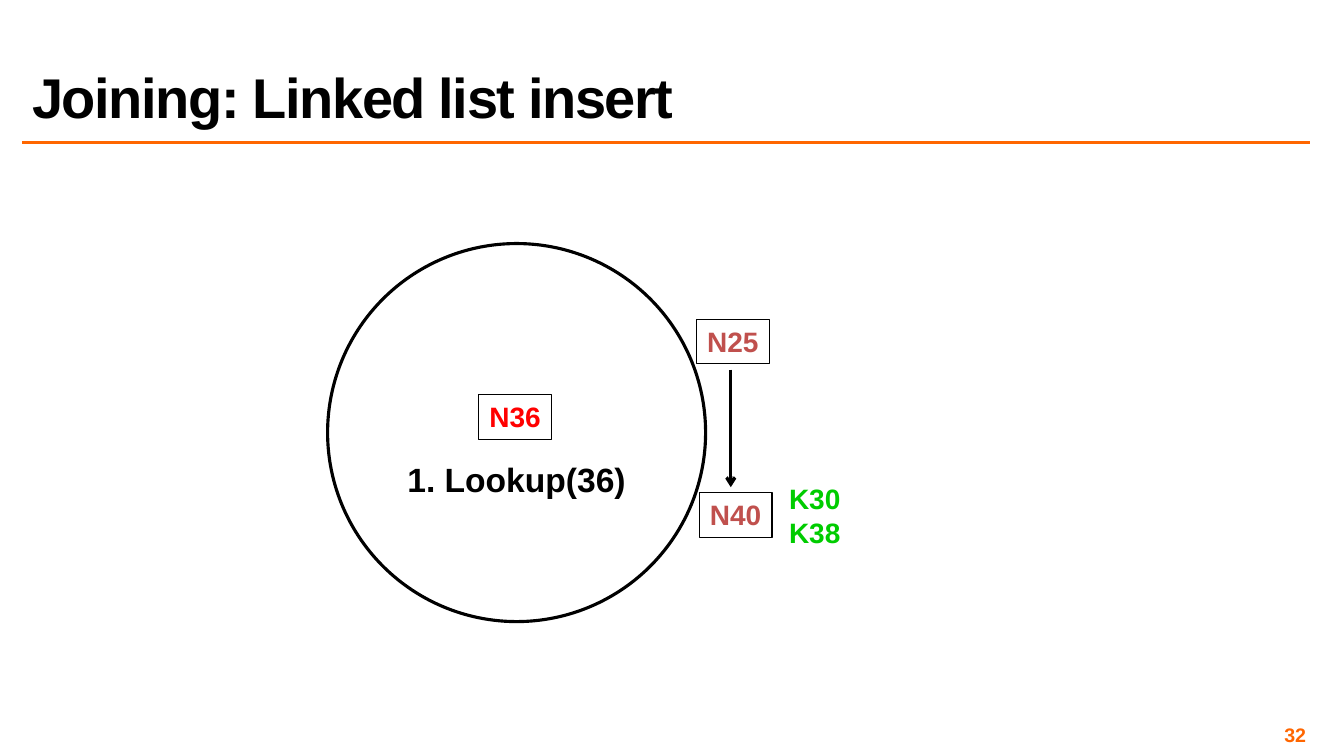
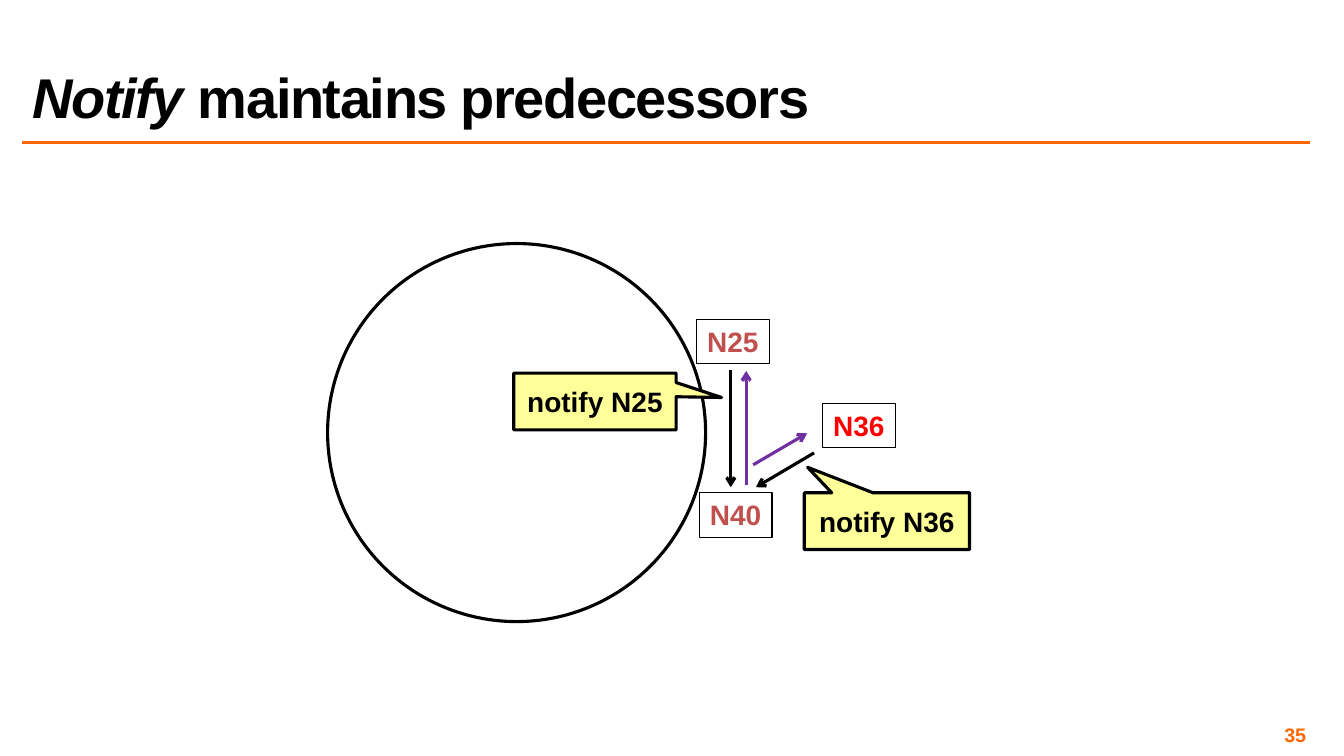
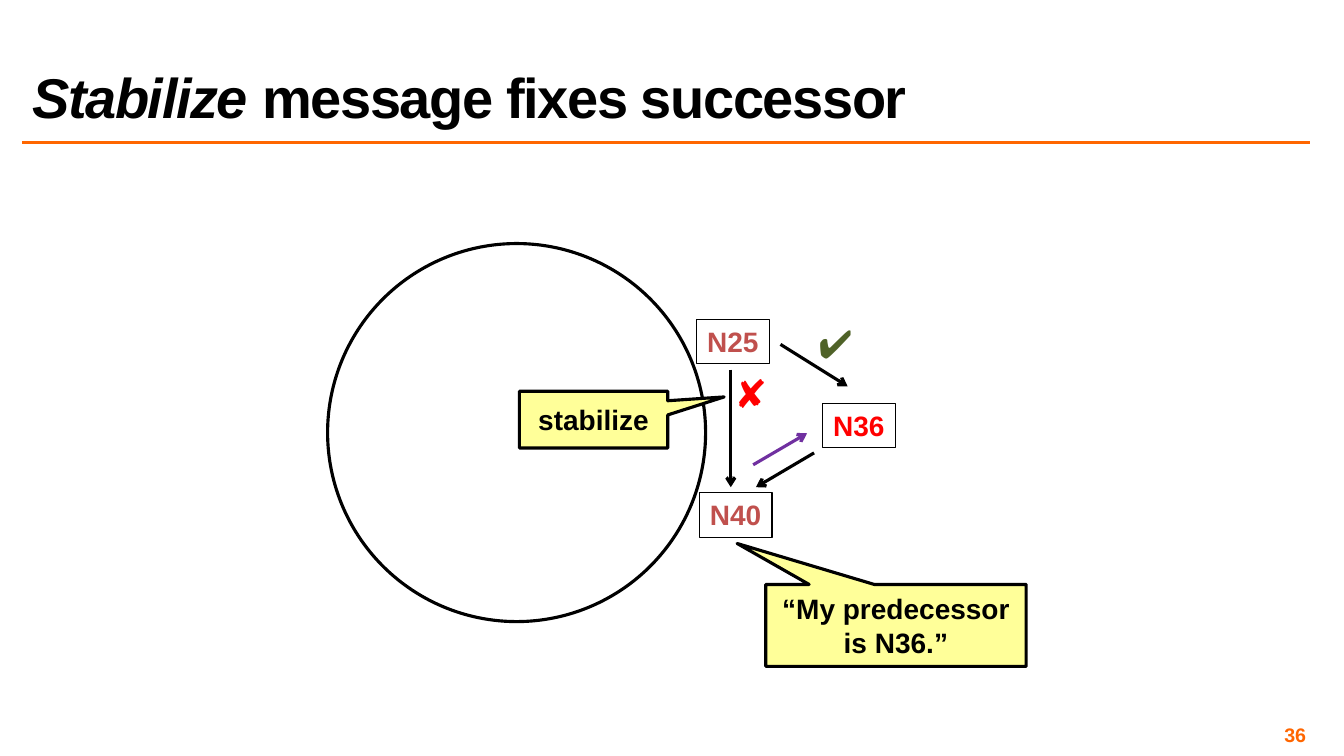
from dataclasses import dataclass

from lxml.etree import SubElement
from pptx import Presentation
from pptx.dml.color import RGBColor
from pptx.enum.shapes import MSO_CONNECTOR, MSO_SHAPE
from pptx.enum.text import MSO_ANCHOR, MSO_AUTO_SIZE, PP_ALIGN
from pptx.oxml.ns import qn
from pptx.shapes.autoshape import Shape
from pptx.shapes.connector import Connector
from pptx.slide import Slide
from pptx.text.text import TextFrame, _Run
from pptx.util import Pt

FONT = "Arial"
BLACK, RED, ORANGE = "000000", "FF0000", "FF6600"
BRICK, GREEN, OLIVE = "C0504D", "00CC00", "4F6228"
PURPLE, YELLOW = "7030A0", "FFFF99"
NODE_WIDTH, NODE_HEIGHT = 52, 32
HEAVY_LINE, THIN_LINE = 2.25, 0.75
BODY_SIZE = 20

Box = tuple[float, float, float, float]


@dataclass(frozen=True)
class Node:
    name: str
    left: float
    top: float
    color: str = BRICK


@dataclass(frozen=True)
class Arrow:
    start: tuple[float, float]
    end: tuple[float, float]
    color: str = BLACK


@dataclass(frozen=True)
class Callout:
    text: str
    box: Box
    tip: tuple[float, float]


@dataclass(frozen=True)
class Label:
    text: str
    box: Box
    size: float = BODY_SIZE
    color: str = BLACK


@dataclass(frozen=True)
class RingSlide:
    """One ring diagram; the title is an italic part and a plain part."""
    number: int
    italic_title: str
    plain_title: str
    nodes: tuple[Node, ...]
    arrows: tuple[Arrow, ...]
    callouts: tuple[Callout, ...] = ()
    labels: tuple[Label, ...] = ()


N25 = Node("N25", 497.5, 228)
N40 = Node("N40", 499.5, 352)
N36_JOINING = Node("N36", 342, 282, RED)
N36_LINKED = Node("N36", 587.5, 288, RED)

N25_TO_N40 = Arrow((522, 264), (522, 348))
N36_TO_N40 = Arrow((581.5, 323.5), (540, 348))
N25_TO_N36 = Arrow((557.5, 246), (605.5, 276))
N40_BACK_TO_N25 = Arrow((533, 346.5), (533, 265), PURPLE)
N40_BACK_TO_N36 = Arrow((538, 332), (576.5, 309.5), PURPLE)

RING_SLIDES = (
    RingSlide(
        32, "", "Joining: Linked list insert",
        nodes=(N36_JOINING, N40, N25),
        arrows=(N25_TO_N40,),
        labels=(
            Label("1. Lookup(36)", (283, 324, 172, 36), size=24),
            Label("K30\nK38", (556, 340.5, 52, 55.5), color=GREEN),
        ),
    ),
    RingSlide(
        35, "Notify", " maintains predecessors",
        nodes=(N36_LINKED, N40, N25),
        arrows=(N25_TO_N40, N36_TO_N40, N40_BACK_TO_N25, N40_BACK_TO_N36),
        callouts=(
            Callout("notify N36", (574.5, 352, 118, 40.5), (-0.48, -0.95)),
            Callout("notify N25", (367, 266.5, 116, 40.5), (0.78, -0.07)),
        ),
    ),
    RingSlide(
        36, "Stabilize ", "message fixes successor",
        nodes=(N36_LINKED, N40, N25),
        arrows=(N25_TO_N40, N36_TO_N40, N40_BACK_TO_N36, N25_TO_N36),
        callouts=(
            Callout("stabilize", (371, 279.5, 106, 40.5), (0.88, -0.4)),
            Callout("“My predecessor is N36.”", (547, 417.5, 186, 58.5), (-0.61, -1)),
        ),
        labels=(
            Label("✔", (575.5, 224.5, 42.5, 41), size=28, color=OLIVE),
            Label("✘", (517.5, 260.5, 37.5, 41), size=28, color=RED),
        ),
    ),
)


def rgb(color: str) -> RGBColor:
    return RGBColor.from_string(color)


def format_run(run: _Run, size: float, color: str) -> None:
    run.font.name = FONT
    run.font.size = Pt(size)
    run.font.bold = True
    run.font.color.rgb = rgb(color)


def set_text(text_frame: TextFrame, text: str, size: float, color: str,
             align: PP_ALIGN = PP_ALIGN.CENTER) -> None:
    text_frame.text = text
    for paragraph in text_frame.paragraphs:
        paragraph.alignment = align
        for run in paragraph.runs:
            format_run(run, size, color)


def fit_to_text(text_frame: TextFrame) -> None:
    text_frame.word_wrap = False
    text_frame.auto_size = MSO_AUTO_SIZE.SHAPE_TO_FIT_TEXT
    text_frame.vertical_anchor = MSO_ANCHOR.TOP


def add_text_box(slide: Slide, box: Box) -> TextFrame:
    return slide.shapes.add_textbox(*map(Pt, box)).text_frame


def add_outlined_shape(slide: Slide, kind: MSO_SHAPE, box: Box,
                       line_width: float, fill: str | None = None) -> Shape:
    shape = slide.shapes.add_shape(kind, *map(Pt, box))
    shape.shadow.inherit = False
    shape.line.color.rgb = rgb(BLACK)
    shape.line.width = Pt(line_width)
    if fill is None:
        shape.fill.background()
    else:
        shape.fill.solid()
        shape.fill.fore_color.rgb = rgb(fill)
    return shape


def add_line(slide: Slide, start: tuple[float, float], end: tuple[float, float],
             color: str, width: float) -> Connector:
    connector = slide.shapes.add_connector(
        MSO_CONNECTOR.STRAIGHT, *map(Pt, (*start, *end)))
    connector.line.color.rgb = rgb(color)
    connector.line.width = Pt(width)
    SubElement(connector._element.spPr, qn("a:effectLst"))
    return connector


def add_arrow(slide: Slide, arrow: Arrow) -> None:
    connector = add_line(slide, arrow.start, arrow.end, arrow.color, HEAVY_LINE)
    SubElement(connector.line._get_or_add_ln(), qn("a:tailEnd"), type="arrow")


def add_node(slide: Slide, node: Node) -> None:
    box = (node.left, node.top, NODE_WIDTH, NODE_HEIGHT)
    shape = add_outlined_shape(slide, MSO_SHAPE.RECTANGLE, box, THIN_LINE)
    fit_to_text(shape.text_frame)
    set_text(shape.text_frame, node.name, BODY_SIZE, node.color)


def add_callout(slide: Slide, callout: Callout) -> None:
    shape = add_outlined_shape(slide, MSO_SHAPE.RECTANGULAR_CALLOUT, callout.box,
                               HEAVY_LINE, YELLOW)
    for index, offset in enumerate(callout.tip):
        shape.adjustments[index] = offset
    shape.text_frame.word_wrap = True
    shape.text_frame.vertical_anchor = MSO_ANCHOR.MIDDLE
    set_text(shape.text_frame, callout.text, BODY_SIZE, BLACK)


def add_label(slide: Slide, label: Label) -> None:
    text_frame = add_text_box(slide, label.box)
    fit_to_text(text_frame)
    set_text(text_frame, label.text, label.size, label.color)


def add_title(slide: Slide, italic_part: str, plain_part: str) -> None:
    text_frame = add_text_box(slide, (16, 12, 919.5, 84))
    text_frame.word_wrap = True
    text_frame.vertical_anchor = MSO_ANCHOR.BOTTOM
    paragraph = text_frame.paragraphs[0]
    paragraph.line_spacing = 0.8
    for text, italic in ((italic_part, True), (plain_part, False)):
        if text:
            run = paragraph.add_run()
            run.text = text
            format_run(run, 40, BLACK)
            run.font.italic = italic
            run.font._element.set("spc", "-100")


def add_slide_number(slide: Slide, number: int) -> None:
    text_frame = add_text_box(slide, (712, 516.5, 224, 16.5))
    text_frame.margin_left = text_frame.margin_right = Pt(3)
    text_frame.margin_top = text_frame.margin_bottom = Pt(3)
    text_frame.word_wrap = True
    text_frame.vertical_anchor = MSO_ANCHOR.MIDDLE
    set_text(text_frame, str(number), 14, ORANGE, PP_ALIGN.RIGHT)


def draw_ring_slide(slide: Slide, content: RingSlide) -> None:
    add_line(slide, (16, 102), (936, 102), ORANGE, 2)
    add_slide_number(slide, content.number)
    add_title(slide, content.italic_title, content.plain_title)
    add_outlined_shape(slide, MSO_SHAPE.OVAL, (234, 174, 270, 270), HEAVY_LINE)
    for node in content.nodes:
        add_node(slide, node)
    for arrow in content.arrows:
        add_arrow(slide, arrow)
    for callout in content.callouts:
        add_callout(slide, callout)
    for label in content.labels:
        add_label(slide, label)


def main() -> None:
    presentation = Presentation()
    presentation.slide_width = Pt(960)
    presentation.slide_height = Pt(540)
    blank_layout = presentation.slide_layouts[6]
    for content in RING_SLIDES:
        draw_ring_slide(presentation.slides.add_slide(blank_layout), content)
    presentation.save("out.pptx")


if __name__ == "__main__":
    main()
